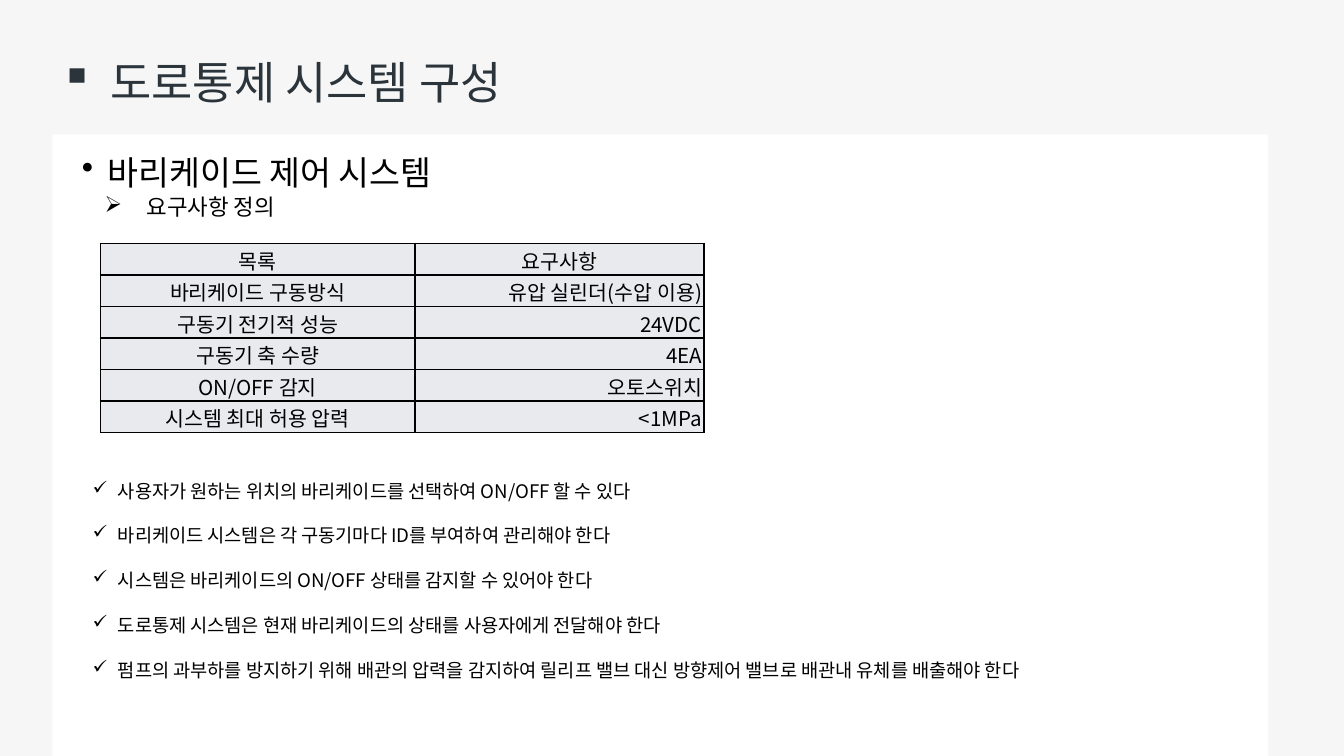
from lxml.etree import SubElement
from pptx import Presentation
from pptx.dml.color import RGBColor
from pptx.enum.shapes import MSO_SHAPE
from pptx.enum.text import MSO_ANCHOR, PP_ALIGN
from pptx.oxml.ns import qn
from pptx.util import Cm, Pt

FONT = "Noto Sans CJK KR"
COLORS = {
    "background": "F6F6F6",
    "panel": "FFFFFF",
    "title": "2A343A",
    "text": "000000",
    "cell": "E8EAEE",
    "border": "000000",
}


def rgb(name):
    return RGBColor.from_string(COLORS[name])


def write(paragraph, text, size, color="text", bullet=None, indent=0):
    if bullet:
        properties = paragraph._p.get_or_add_pPr()
        properties.set("marL", str(Cm(indent)))
        properties.set("indent", str(-Cm(indent)))
        SubElement(properties, qn("a:buChar"), char=bullet)
    run = paragraph.add_run()
    run.text = text
    run.font.size = Pt(size)
    run.font.name = FONT
    run.font.color.rgb = rgb(color)
    SubElement(run._r.get_or_add_rPr(), qn("a:ea"), typeface=FONT)


prs = Presentation()
prs.slide_width, prs.slide_height = Cm(25.4), Cm(14.29)
slide = prs.slides.add_slide(prs.slide_layouts[6])
slide.background.fill.solid()
slide.background.fill.fore_color.rgb = rgb("background")

panel = slide.shapes.add_shape(MSO_SHAPE.RECTANGLE, Cm(0.99), Cm(2.54), Cm(22.98), Cm(11.75))
panel.shadow.inherit = False
panel.fill.solid()
panel.fill.fore_color.rgb = rgb("panel")
panel.line.fill.background()

# Title and headings: left, top, width, height, text, size, colour, bullet, indent
headings = [
    (0.89, 0.53, 15.19, 2.01, "도로통제 시스템 구성", 24, "title", "▪", 0.95),
    (1.3, 2.74, 7.77, 1.02, "바리케이드 제어 시스템", 18, "text", "•", 0.48),
    (1.73, 3.53, 3.99, 0.76, "요구사항 정의", 12, "text", "➢", 0.79),
]
for left, top, width, height, *content in headings:
    frame = slide.shapes.add_textbox(Cm(left), Cm(top), Cm(width), Cm(height)).text_frame
    frame.word_wrap = True
    frame.vertical_anchor = MSO_ANCHOR.MIDDLE
    write(frame.paragraphs[0], *content)

# Requirements table
requirements = [
    ("목록", "요구사항"),
    ("바리케이드 구동방식", "유압 실린더(수압 이용)"),
    ("구동기 전기적 성능", "24VDC"),
    ("구동기 축 수량", "4EA"),
    ("ON/OFF 감지", "오토스위치"),
    ("시스템 최대 허용 압력", "<1MPa"),
]
cell_format = {
    "margin_left": Cm(0.03),
    "margin_right": Cm(0.03),
    "margin_top": Cm(0.03),
    "margin_bottom": 0,
    "vertical_anchor": MSO_ANCHOR.MIDDLE,
}
table = slide.shapes.add_table(len(requirements), 2, Cm(1.9), Cm(4.6), Cm(11.4), Cm(3.58)).table
table.columns[0].width, table.columns[1].width = Cm(5.94), Cm(5.46)
for r, row in enumerate(requirements):
    for c, text in enumerate(row):
        cell = table.cell(r, c)
        for name, value in cell_format.items():
            setattr(cell, name, value)
        for side in ("a:lnL", "a:lnR", "a:lnT", "a:lnB"):
            border = SubElement(cell._tc.get_or_add_tcPr(), qn(side), w=str(Pt(1)))
            border_fill = SubElement(border, qn("a:solidFill"))
            SubElement(border_fill, qn("a:srgbClr"), val=COLORS["border"])
        cell.fill.solid()
        cell.fill.fore_color.rgb = rgb("cell")
        paragraph = cell.text_frame.paragraphs[0]
        paragraph.alignment = PP_ALIGN.RIGHT if r and c else PP_ALIGN.CENTER
        write(paragraph, text, 11)

# Checklist
checks = [
    "사용자가 원하는 위치의 바리케이드를 선택하여 ON/OFF 할 수 있다",
    "바리케이드 시스템은 각 구동기마다 ID를 부여하여 관리해야 한다",
    "시스템은 바리케이드의 ON/OFF 상태를 감지할 수 있어야 한다",
    "도로통제 시스템은 현재 바리케이드의 상태를 사용자에게 전달해야 한다",
    "펌프의 과부하를 방지하기 위해 배관의 압력을 감지하여 릴리프 밸브 대신 방향제어 밸브로 배관내 유체를 배출해야 한다",
]
checklist = slide.shapes.add_textbox(Cm(1.5), Cm(8.94), Cm(20.32), Cm(4.11)).text_frame
checklist.word_wrap = True
for i, check in enumerate(checks):
    paragraph = checklist.add_paragraph() if i else checklist.paragraphs[0]
    write(paragraph, check, 10, bullet="✓", indent=0.48)
    paragraph.line_spacing = Pt(12)
    paragraph.space_before = Pt(12 if i else 0)

prs.save("out.pptx")
